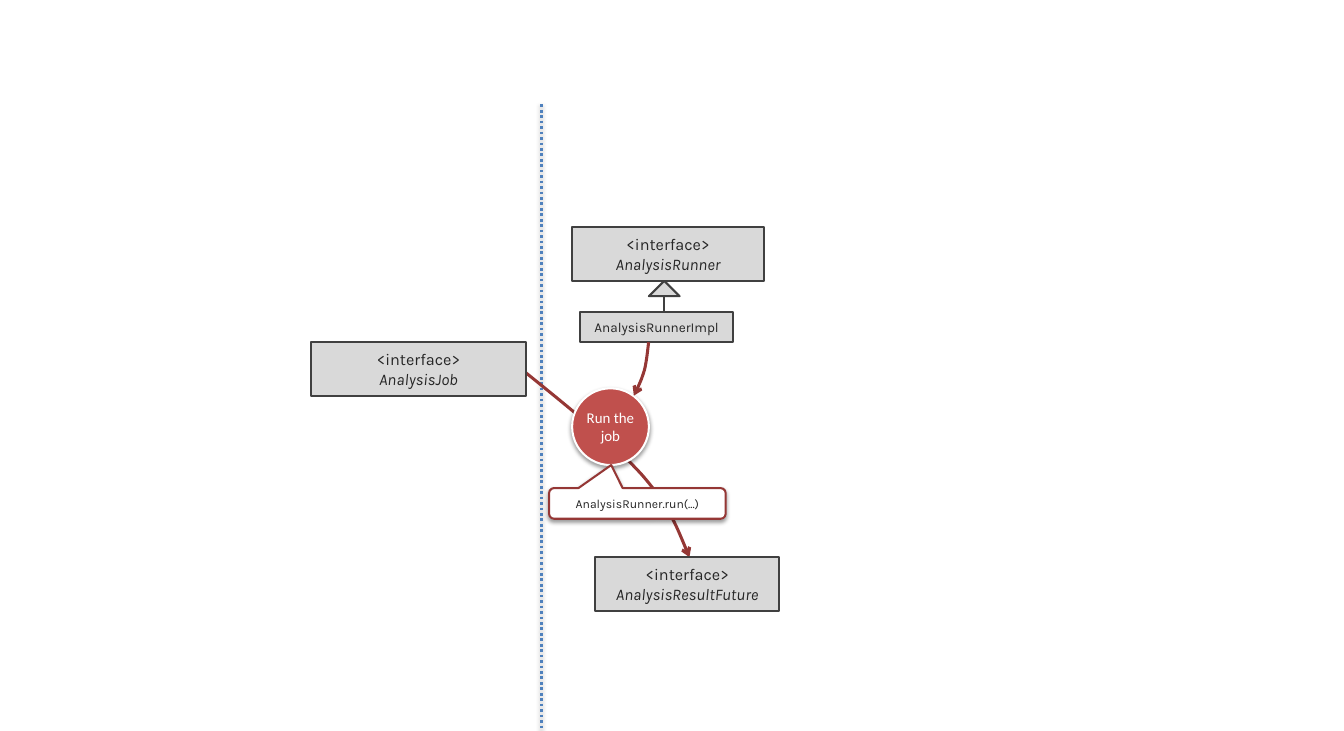
import dataclasses
import typing

import lxml.etree
import pptx
import pptx.dml.color
import pptx.enum.dml
import pptx.enum.shapes
import pptx.enum.text
import pptx.oxml
import pptx.oxml.ns
import pptx.util

Preset = pptx.enum.shapes.MSO_SHAPE
Point = tuple[float, float]

CELL = pptx.util.Mm(4)
FIRST_COLUMN, FIRST_ROW = 0.25, 0.3
BOX_ROWS = 3.5
GRAY, DARK, INK, WHITE = "D9D9D9", "404040", "262626", "FFFFFF"
RED, DEEP_RED, BLUE = "C0504D", "953735", "4F81BD"


@dataclasses.dataclass(frozen=True)
class Node:
    column: float
    row: float
    columns: float
    rows: float
    lines: tuple[str, ...] = ()
    size: float = 12
    preset: Preset = Preset.RECTANGLE
    fill: str = GRAY
    outline: str = DARK
    ink: str = INK
    font: str = "Karla"
    raised: bool = False
    wrap: bool = True
    adjustments: tuple[float, ...] = ()


@dataclasses.dataclass(frozen=True)
class Rule:
    column: float
    first_row: float
    last_row: float
    color: str
    width: float
    dotted: bool = False


def interface(column: float, row: float, columns: float, name: str) -> Node:
    return Node(column, row, columns, BOX_ROWS, ("<interface>", name))


DIVIDER = Rule(35, 6.5, 47.32, BLUE, 2, dotted=True)
INHERITANCE = Rule(43, 19, 20, DARK, 1.5)
JOB_TO_RESULT: list[Point] = [
    (33.72, 23.77), (36.71, 26.18), (39.69, 28.59), (41.53, 30.62),
    (43.31, 32.66), (43.95, 34.37), (44.64, 36),
]
RUNNER_TO_RUN: list[Point] = [
    (41.98, 22), (41.91, 22.62), (41.85, 23.19), (41.72, 23.77),
    (41.53, 24.4), (41.28, 24.97), (41.02, 25.48),
]
NODES = [
    interface(20, 22, 14, "AnalysisJob"),
    interface(37, 14.5, 12.5, "AnalysisRunner"),
    interface(38.5, 36, 12, "AnalysisResultFuture"),
    Node(42, 18, 2, 1, preset=Preset.ISOSCELES_TRIANGLE),
    Node(37.5, 20, 10, 2, ("AnalysisRunnerImpl",), 10),
    Node(37, 25, 5, 5, ("Run the job",), 11, Preset.OVAL, RED, WHITE, WHITE,
         "Calibri", raised=True),
    Node(35.5, 31.5, 11.5, 2, ("AnalysisRunner.run(...)",), 9,
         Preset.ROUNDED_RECTANGULAR_CALLOUT, WHITE, DEEP_RED, raised=True,
         wrap=False, adjustments=(-0.148, -1.25, 0.167)),
]


def rgb(color: str) -> pptx.dml.color.RGBColor:
    return pptx.dml.color.RGBColor.from_string(color)


def across(column: float) -> int:
    return round((column + FIRST_COLUMN) * CELL)


def down(row: float) -> int:
    return round((row + FIRST_ROW) * CELL)


def set_line(shape: typing.Any, color: str, width: float) -> None:
    shape.line.color.rgb = rgb(color)
    shape.line.width = pptx.util.Pt(width)


def add_effects(shape: typing.Any, raised: bool) -> None:
    properties = shape._element.spPr
    for effects in properties.findall(pptx.oxml.ns.qn("a:effectLst")):
        properties.remove(effects)
    shadow = (
        f'<a:outerShdw blurRad="{pptx.util.Pt(3.1)}" dist="{pptx.util.Pt(1.6)}" '
        'dir="5400000" rotWithShape="0"><a:srgbClr val="000000">'
        '<a:alpha val="38000"/></a:srgbClr></a:outerShdw>'
    )
    properties.append(pptx.oxml.parse_xml(
        f'<a:effectLst {pptx.oxml.ns.nsdecls("a")}>{shadow if raised else ""}</a:effectLst>'
    ))


def draw_rule(page: typing.Any, rule: Rule) -> None:
    line = page.shapes.add_connector(
        pptx.enum.shapes.MSO_CONNECTOR.STRAIGHT,
        across(rule.column), down(rule.first_row),
        across(rule.column), down(rule.last_row),
    )
    set_line(line, rule.color, rule.width)
    if rule.dotted:
        line.line.dash_style = pptx.enum.dml.MSO_LINE.ROUND_DOT
    add_effects(line, rule.dotted)


def draw_curve(page: typing.Any, points: list[Point]) -> None:
    start, *others = [(across(column), down(row)) for column, row in points]
    builder = page.shapes.build_freeform(*start)
    builder.add_line_segments(others, close=False)
    curve = builder.convert_to_shape()
    curve.shadow.inherit = False
    curve.fill.background()
    set_line(curve, DEEP_RED, 2.25)
    qn = pptx.oxml.ns.qn
    segments = list(curve._element.iter(qn("a:lnTo")))
    outline = segments[0].getparent()
    for first in range(0, len(segments), 3):
        bend = lxml.etree.SubElement(outline, qn("a:cubicBezTo"))
        for segment in segments[first:first + 3]:
            bend.append(segment[0])
            outline.remove(segment)
    stroke = curve._element.spPr.find(qn("a:ln"))
    lxml.etree.SubElement(stroke, qn("a:tailEnd"), type="arrow")


def write_text(shape: typing.Any, node: Node) -> None:
    frame = shape.text_frame
    frame.text = "\n".join(node.lines)
    frame.word_wrap = node.wrap
    frame.vertical_anchor = pptx.enum.text.MSO_ANCHOR.MIDDLE
    if node.raised:
        frame.margin_left = frame.margin_right = 0
        frame.margin_top = frame.margin_bottom = 0
    for index, para in enumerate(frame.paragraphs):
        para.alignment = pptx.enum.text.PP_ALIGN.CENTER
        for span in para.runs:
            span.font.name = node.font
            span.font.size = pptx.util.Pt(node.size)
            span.font.color.rgb = rgb(node.ink)
            span.font.italic = index > 0


def draw_node(page: typing.Any, node: Node) -> None:
    shape = page.shapes.add_shape(
        node.preset, across(node.column), down(node.row),
        round(node.columns * CELL), round(node.rows * CELL),
    )
    for index, value in enumerate(node.adjustments):
        shape.adjustments[index] = value
    shape.fill.solid()
    shape.fill.fore_color.rgb = rgb(node.fill)
    set_line(shape, node.outline, 1.5)
    shape.shadow.inherit = False
    add_effects(shape, node.raised)
    if node.lines:
        write_text(shape, node)


deck = pptx.Presentation()
deck.slide_width = pptx.util.Inches(13.78)
deck.slide_height = pptx.util.Inches(7.5)
page = deck.slides.add_slide(deck.slide_layouts[6])

draw_rule(page, DIVIDER)
draw_curve(page, JOB_TO_RESULT)
draw_rule(page, INHERITANCE)
for node in NODES:
    draw_node(page, node)
draw_curve(page, RUNNER_TO_RUN)

deck.save("out.pptx")
